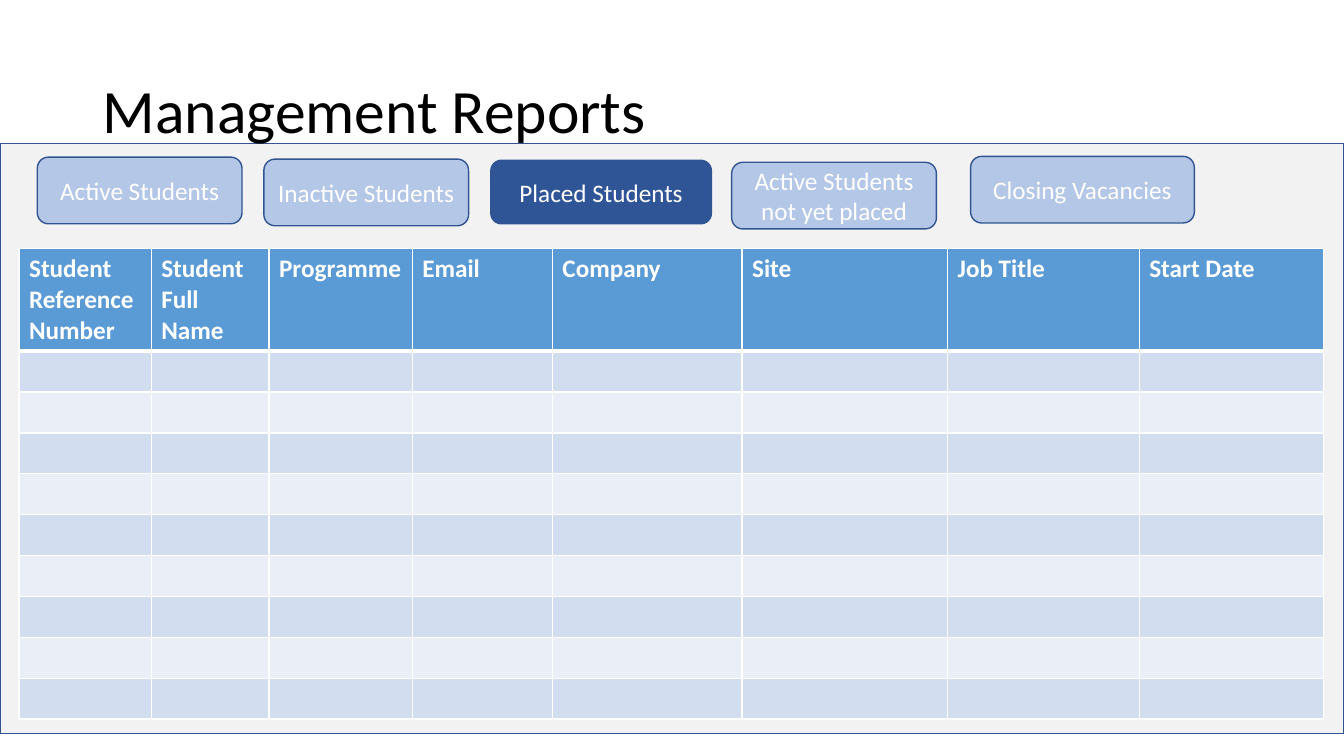
from lxml.etree import SubElement
from pptx import Presentation
from pptx.dml.color import RGBColor
from pptx.enum.shapes import MSO_SHAPE
from pptx.enum.text import MSO_ANCHOR, PP_ALIGN
from pptx.oxml.ns import qn
from pptx.util import Cm, Pt

WHITE = RGBColor(0xFF, 0xFF, 0xFF)
BLACK = RGBColor(0x00, 0x00, 0x00)
PANEL_GREY = RGBColor(0xF2, 0xF2, 0xF2)
OUTLINE_BLUE = RGBColor(0x32, 0x54, 0x91)
SELECTED_BLUE = RGBColor(0x2F, 0x55, 0x97)
TAB_BLUE = RGBColor(0xB4, 0xC7, 0xE7)
HEADER_BLUE = RGBColor(0x5B, 0x9B, 0xD5)
BANDS = (RGBColor(0xD2, 0xDE, 0xEF), RGBColor(0xEA, 0xEF, 0xF7))

TITLE_FORMAT = {"name": "Calibri", "size": Pt(44)}
TAB_FORMAT = {"name": "Calibri", "size": Pt(18)}
HEADER_FORMAT = {**TAB_FORMAT, "bold": True}

# Label, left, top, width and height in cm within the panel
TABS = [
    ("Active Students", 0.94, 0.35, 5.16, 1.68),
    ("Inactive Students", 6.65, 0.4, 5.16, 1.68),
    ("Placed Students", 12.37, 0.43, 5.56, 1.6),
    ("Active Students not yet placed", 18.44, 0.48, 5.16, 1.68),
    ("Closing Vacancies", 24.46, 0.33, 5.64, 1.68),
]
SELECTED_TAB = "Placed Students"

# Heading and width in cm
COLUMNS = [
    ("Student Reference Number", 3.33), ("Student Full Name", 2.97),
    ("Programme", 3.61), ("Email", 3.53), ("Company", 4.78),
    ("Site", 5.18), ("Job Title", 4.83), ("Start Date", 4.65),
]
BODY_ROWS = 9
HEADER_HEIGHT, ROW_HEIGHT = 2.57, 1.03


def write(frame, text, values, color, align=None):
    """Put one formatted paragraph into a text frame."""
    para = frame.paragraphs[0]
    para.alignment = align
    span = para.add_run()
    span.text = text
    for name, value in values.items():
        setattr(span.font, name, value)
    span.font.color.rgb = color
    return para


def add_box(page, kind, place, fill):
    """Add a flat, outlined shape at a place given in cm."""
    box = page.shapes.add_shape(kind, *map(Cm, place))
    box.shadow.inherit = False
    box.fill.solid()
    box.fill.fore_color.rgb = fill
    box.line.color.rgb = OUTLINE_BLUE
    box.line.width = Pt(1)
    return box


def add_title(page, place):
    """Move and format the title placeholder."""
    title = page.shapes.title
    title.left, title.top, title.width, title.height = map(Cm, place)
    title.text_frame.vertical_anchor = MSO_ANCHOR.MIDDLE
    para = write(title.text_frame, "Management Reports", TITLE_FORMAT, BLACK, PP_ALIGN.LEFT)
    para.line_spacing = 0.9


def add_panel(page, place):
    """Add the grey panel behind the title."""
    panel = add_box(page, MSO_SHAPE.RECTANGLE, place, PANEL_GREY)
    page.shapes.title.element.addprevious(panel.element)


def add_tabs(page, place):
    """Add the report tabs, with the selected one darker."""
    left, top = place[:2]
    for label, across, down, width, height in TABS:
        fill = SELECTED_BLUE if label == SELECTED_TAB else TAB_BLUE
        tab = add_box(page, MSO_SHAPE.ROUNDED_RECTANGLE,
                      (left + across, top + down, width, height), fill)
        tab.text_frame.word_wrap = True
        tab.text_frame.vertical_anchor = MSO_ANCHOR.MIDDLE
        write(tab.text_frame, label, TAB_FORMAT, WHITE, PP_ALIGN.CENTER)


def style_cell(cell, fill, top=1, bottom=1):
    """Give a cell white borders, widths in points, and a fill."""
    properties = cell._tc.get_or_add_tcPr()
    for side, width in {"L": 1, "R": 1, "T": top, "B": bottom}.items():
        border = SubElement(properties, qn(f"a:ln{side}"), w=str(Pt(width)))
        paint = SubElement(border, qn("a:solidFill"))
        SubElement(paint, qn("a:srgbClr"), val=str(WHITE))
    cell.fill.solid()
    cell.fill.fore_color.rgb = fill


def add_student_table(page, place):
    """Add the banded table with its headings and empty rows."""
    table = page.shapes.add_table(BODY_ROWS + 1, len(COLUMNS), *map(Cm, place)).table
    for row in table.rows:
        row.height = Cm(ROW_HEIGHT)
    table.rows[0].height = Cm(HEADER_HEIGHT)
    for index, (heading, width) in enumerate(COLUMNS):
        table.columns[index].width = Cm(width)
        header = table.cell(0, index)
        style_cell(header, HEADER_BLUE, bottom=3)
        write(header.text_frame, heading, HEADER_FORMAT, WHITE)
        for row in range(1, BODY_ROWS + 1):
            style_cell(table.cell(row, index), BANDS[(row - 1) % 2], top=3 if row == 1 else 1)


def build_report_page(deck):
    """Add the management reports slide."""
    page = deck.slides.add_slide(deck.slide_layouts[5])
    panel_place = (0, 3.61, 33.87, 14.88)
    table_width = sum(width for _, width in COLUMNS)
    table_height = HEADER_HEIGHT + BODY_ROWS * ROW_HEIGHT
    add_title(page, (2.33, 1.02, 29.21, 3.68))
    add_panel(page, panel_place)
    add_student_table(page, (0.48, 6.27, table_width, table_height))
    add_tabs(page, panel_place)


deck = Presentation()
deck.slide_width, deck.slide_height = Cm(33.87), Cm(19.05)
build_report_page(deck)
deck.save("out.pptx")
